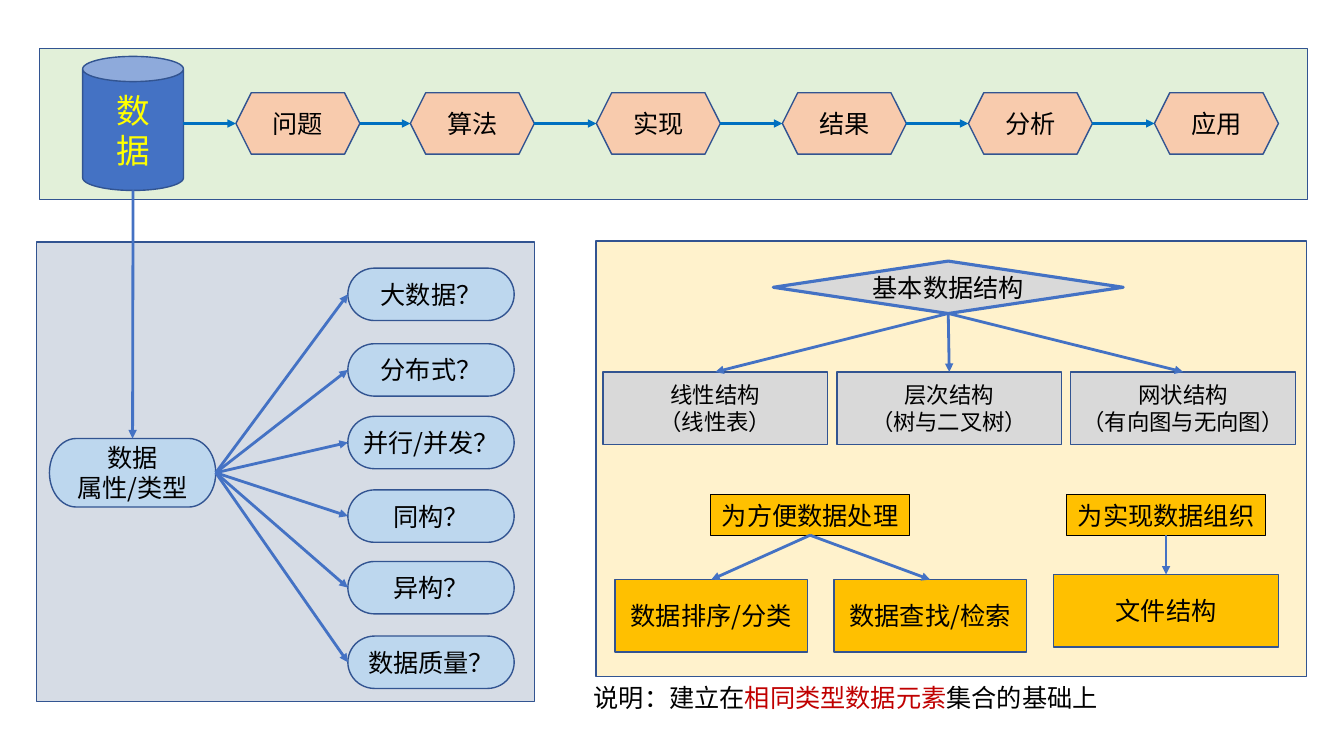
from pptx import Presentation
from pptx.dml.color import RGBColor
from pptx.enum.shapes import MSO_CONNECTOR, MSO_SHAPE
from pptx.enum.text import MSO_ANCHOR, MSO_AUTO_SIZE, PP_ALIGN
from pptx.oxml.ns import qn
from pptx.util import Inches, Pt
from lxml.etree import SubElement

FONT = "Noto Sans CJK SC"
BLACK = RGBColor(0x00, 0x00, 0x00)
YELLOW = RGBColor(0xFF, 0xFF, 0x00)
RED = RGBColor(0xC0, 0x00, 0x00)
NAVY = RGBColor(0x32, 0x54, 0x91)
BLUE = RGBColor(0x44, 0x72, 0xC4)
AZURE = RGBColor(0x00, 0x70, 0xC0)
SKY = RGBColor(0xBD, 0xD7, 0xEE)
SLATE = RGBColor(0xD6, 0xDC, 0xE5)
GREEN = RGBColor(0xE2, 0xF0, 0xD9)
CREAM = RGBColor(0xFF, 0xF2, 0xCC)
PEACH = RGBColor(0xF8, 0xCB, 0xAD)
GRAY = RGBColor(0xD9, 0xD9, 0xD9)
GOLD = RGBColor(0xFF, 0xC0, 0x00)

RECT = MSO_SHAPE.RECTANGLE
PILL = MSO_SHAPE.FLOWCHART_TERMINATOR


def add_run(para, text, size=18, ink=BLACK):
    run = para.add_run()
    run.text = text
    font = run.font
    font.size = Pt(size)
    font.name = FONT
    font.color.rgb = ink
    SubElement(font._element, qn("a:ea"), typeface=FONT)


def add_box(slide, kind, at, fill, lines=(), edge=NAVY, width=1, size=18, ink=BLACK,
            inset=0.1):
    shape = slide.shapes.add_shape(kind, *map(Inches, at))
    shape.shadow.inherit = False
    shape.fill.solid()
    shape.fill.fore_color.rgb = fill
    shape.line.color.rgb = edge
    shape.line.width = Pt(width)
    frame = shape.text_frame
    frame.word_wrap = True
    frame.vertical_anchor = MSO_ANCHOR.MIDDLE
    frame.margin_left = frame.margin_right = Inches(inset)
    for i, text in enumerate(lines):
        para = frame.add_paragraph() if i else frame.paragraphs[0]
        para.alignment = PP_ALIGN.CENTER
        add_run(para, text, size, ink)
    return shape


def add_label(slide, left, text):
    """Heading box that fits its single line of text."""
    shape = add_box(slide, RECT, (left, 4.91, 1.97, 0.4), GOLD, [text], BLACK, 0.75)
    frame = shape.text_frame
    frame.word_wrap = False
    frame.auto_size = MSO_AUTO_SIZE.SHAPE_TO_FIT_TEXT
    frame.vertical_anchor = MSO_ANCHOR.TOP
    return shape


def add_arrow(slide, start, end, color=BLUE):
    arrow = slide.shapes.add_connector(MSO_CONNECTOR.STRAIGHT, *start, *end)
    arrow.line.color.rgb = color
    arrow.line.width = Pt(2)
    SubElement(arrow.line._get_or_add_ln(), qn("a:tailEnd"), type="triangle")
    SubElement(arrow._element.spPr, qn("a:effectLst"))


def edge_mid(shape, x, y):
    """Point at the fractions x and y of the shape's width and height."""
    return (shape.left + int(shape.width * x), shape.top + int(shape.height * y))


def join_across(slide, source, target, color=BLUE):
    add_arrow(slide, edge_mid(source, 1, 0.5), edge_mid(target, 0, 0.5), color)


def join_down(slide, source, target):
    add_arrow(slide, edge_mid(source, 0.5, 1), edge_mid(target, 0.5, 0))


def add_flow(slide):
    """Top row of steps; returns the data store that starts it."""
    store = add_box(slide, MSO_SHAPE.CAN, (0.82, 0.56, 1, 1.33), BLUE,
                    ["数", "据"], size=24, ink=YELLOW)
    lefts = [2.34] + [4.07 + 1.845 * i for i in range(5)]
    steps = ["问题", "算法", "实现", "结果", "分析", "应用"]
    last = store
    for left, step in zip(lefts, steps):
        shape = add_box(slide, MSO_SHAPE.HEXAGON, (left, 0.92, 1.23, 0.61), PEACH, [step])
        join_across(slide, last, shape, AZURE)
        last = shape
    return store


def add_traits(slide, store):
    kind = add_box(slide, PILL, (0.49, 4.35, 1.65, 0.68), SKY, ["数据", "属性/类型"])
    join_down(slide, store, kind)
    traits = {"大数据？": 2.66, "分布式？": 3.41, "并行/并发？": 4.13,
              "同构？": 4.86, "异构？": 5.57, "数据质量？": 6.31}
    for trait, top in traits.items():
        pill = add_box(slide, PILL, (3.45, top, 1.65, 0.52), SKY, [trait], inset=0)
        join_across(slide, kind, pill)


def add_structures(slide):
    root = add_box(slide, MSO_SHAPE.DIAMOND, (7.67, 2.59, 3.47, 0.52), GRAY,
                   ["基本数据结构"], BLUE, 2.25)
    forms = [("线性结构", "（线性表）"), ("层次结构", "（树与二叉树）"),
             ("网状结构", "（有向图与无向图）")]
    for i, lines in enumerate(forms):
        form = add_box(slide, RECT, (5.98 + 2.32 * i, 3.69, 2.23, 0.72), GRAY, lines,
                       size=16, inset=0.04)
        join_down(slide, root, form)

    process = add_label(slide, 7.05, "为方便数据处理")
    organize = add_label(slide, 10.58, "为实现数据组织")
    tasks = [(process, "数据排序/分类", (6.1, 5.75, 1.91, 0.72)),
             (process, "数据查找/检索", (8.27, 5.75, 1.91, 0.72)),
             (organize, "文件结构", (10.45, 5.7, 2.23, 0.72))]
    for head, text, at in tasks:
        join_down(slide, head, add_box(slide, RECT, at, GOLD, [text]))


def add_note(slide):
    box = slide.shapes.add_textbox(*map(Inches, (5.79, 6.7, 6.9, 0.44)))
    frame = box.text_frame
    frame.word_wrap = True
    frame.vertical_anchor = MSO_ANCHOR.MIDDLE
    para = frame.paragraphs[0]
    add_run(para, "说明：建立在")
    add_run(para, "相同类型数据元素", ink=RED)
    add_run(para, "集合的基础上")


def main():
    deck = Presentation()
    deck.slide_width = Inches(13.33)
    deck.slide_height = Inches(7.5)
    slide = deck.slides.add_slide(deck.slide_layouts[6])
    add_box(slide, RECT, (0.36, 2.4, 4.94, 4.56), SLATE)
    add_box(slide, RECT, (0.39, 0.48, 12.58, 1.5), GREEN)
    add_box(slide, RECT, (5.91, 2.39, 7.05, 4.32), CREAM)
    store = add_flow(slide)
    add_traits(slide, store)
    add_structures(slide)
    add_note(slide)
    deck.save("out.pptx")


if __name__ == "__main__":
    main()
